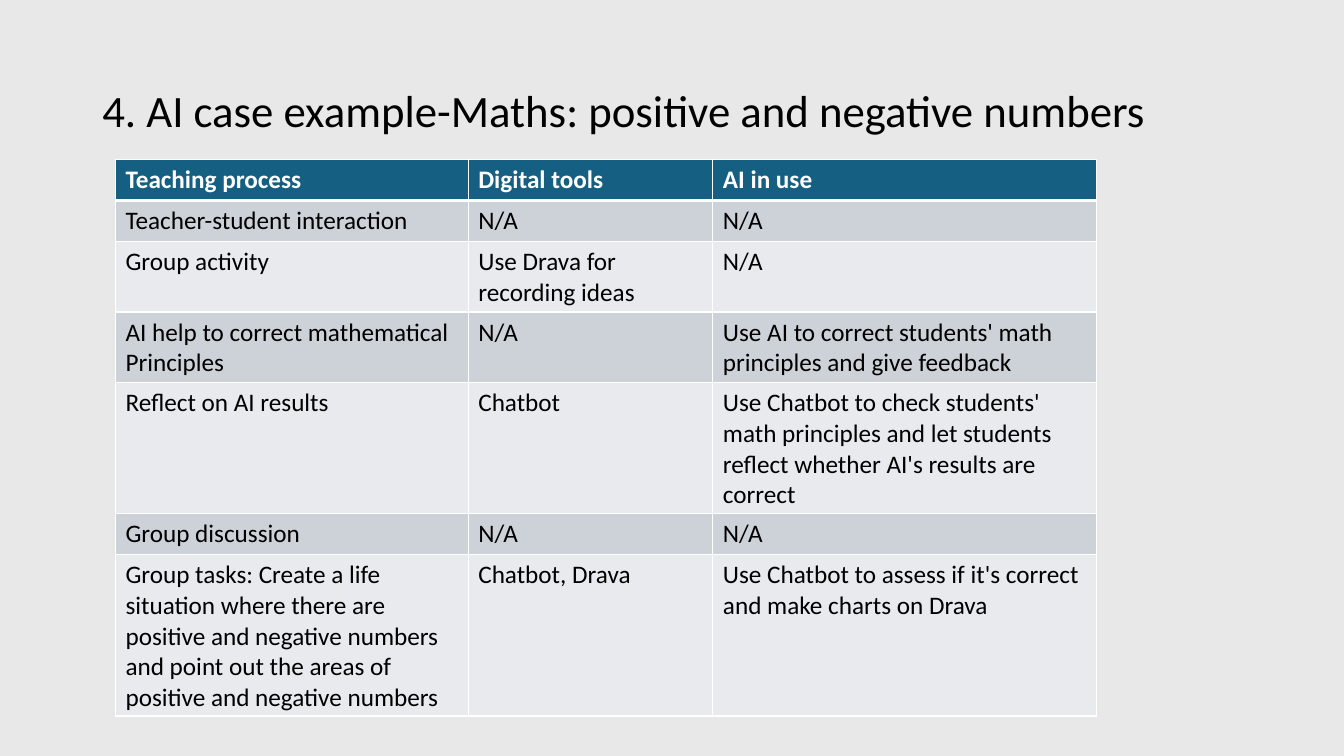
from lxml import etree
from pptx import Presentation
from pptx.dml.color import RGBColor
from pptx.enum.text import MSO_ANCHOR
from pptx.oxml.ns import qn
from pptx.util import Emu, Pt

MIDDLE = MSO_ANCHOR.MIDDLE
BACKGROUND = RGBColor(0xE8, 0xE8, 0xE8)
BLACK = RGBColor(0x00, 0x00, 0x00)
WHITE = RGBColor(0xFF, 0xFF, 0xFF)
HEADER_BLUE = RGBColor(0x15, 0x60, 0x82)
BAND_DARK = RGBColor(0xCC, 0xD2, 0xD8)
BAND_LIGHT = RGBColor(0xE8, 0xEA, 0xED)

SLIDE_SIZE = (1280, 720)
COLUMN_WIDTHS = (336, 233, 365)
ROW_HEIGHTS = (39, 39, 67, 39, 39, 39, 39)
TEACHING_PLAN = (
    ("Teaching process", "Digital tools", "AI in use"),
    ("Teacher-student interaction", "N/A", "N/A"),
    ("Group activity", "Use Drava for recording ideas", "N/A"),
    ("AI help to correct mathematical Principles", "N/A",
     "Use AI to correct students' math principles and give feedback"),
    ("Reflect on AI results", "Chatbot",
     "Use Chatbot to check students' math principles and let students "
     "reflect whether AI's results are correct"),
    ("Group discussion", "N/A", "N/A"),
    ("Group tasks: Create a life situation where there are positive and "
     "negative numbers and point out the areas of positive and negative numbers",
     "Chatbot, Drava",
     "Use Chatbot to assess if it's correct and make charts on Drava"),
)


def px(length):
    return Emu(length * 9525)


class SlideBuilder:
    font_name = "Calibri"
    title_size = 32
    table_size = 18
    border_color = WHITE
    thin_border = 1
    thick_border = 3

    def __init__(self, presentation):
        self.slide = presentation.slides.add_slide(presentation.slide_layouts[6])

    def background(self, color):
        fill = self.slide.background.fill
        fill.solid()
        fill.fore_color.rgb = color

    def run(self, paragraph, text, size, color, bold=False):
        run = paragraph.add_run()
        run.text = text
        run.font.name = self.font_name
        run.font.size = Pt(size)
        run.font.bold = bold
        run.font.color.rgb = color

    def title(self, text, left, top, width, height):
        shape = self.slide.shapes.add_textbox(px(left), px(top), px(width), px(height))
        frame = shape.text_frame
        frame.word_wrap = True
        frame.vertical_anchor = MIDDLE
        paragraph = frame.paragraphs[0]
        paragraph.line_spacing = 0.9
        self.run(paragraph, text, self.title_size, BLACK)

    def border(self, cell, side, width):
        properties = cell._tc.get_or_add_tcPr()
        line = etree.SubElement(properties, qn(f"a:ln{side}"), w=str(Pt(width)))
        fill = etree.SubElement(line, qn("a:solidFill"))
        etree.SubElement(fill, qn("a:srgbClr"), val=str(self.border_color))

    def cell(self, cell, text, row):
        is_header = row == 0
        thick_side = {0: "B", 1: "T"}.get(row)
        for side in "LRTB":
            width = self.thick_border if side == thick_side else self.thin_border
            self.border(cell, side, width)
        band = BAND_DARK if row % 2 else BAND_LIGHT
        cell.fill.solid()
        cell.fill.fore_color.rgb = HEADER_BLUE if is_header else band
        color = WHITE if is_header else BLACK
        self.run(cell.text_frame.paragraphs[0], text, self.table_size, color, is_header)

    def table(self, rows, left, top, column_widths, row_heights):
        shape = self.slide.shapes.add_table(
            len(rows), len(column_widths), px(left), px(top),
            px(sum(column_widths)), px(sum(row_heights)))
        table = shape.table
        for column, width in zip(table.columns, column_widths):
            column.width = px(width)
        for table_row, height in zip(table.rows, row_heights):
            table_row.height = px(height)
        for row, texts in enumerate(rows):
            for column, text in enumerate(texts):
                self.cell(table.cell(row, column), text, row)


def main():
    presentation = Presentation()
    presentation.slide_width, presentation.slide_height = map(px, SLIDE_SIZE)
    builder = SlideBuilder(presentation)
    builder.background(BACKGROUND)
    builder.title("4. AI case example-Maths: positive and negative numbers",
                  88, 38, 1104, 139)
    builder.table(TEACHING_PLAN, 110, 152, COLUMN_WIDTHS, ROW_HEIGHTS)
    presentation.save("out.pptx")


if __name__ == "__main__":
    main()
